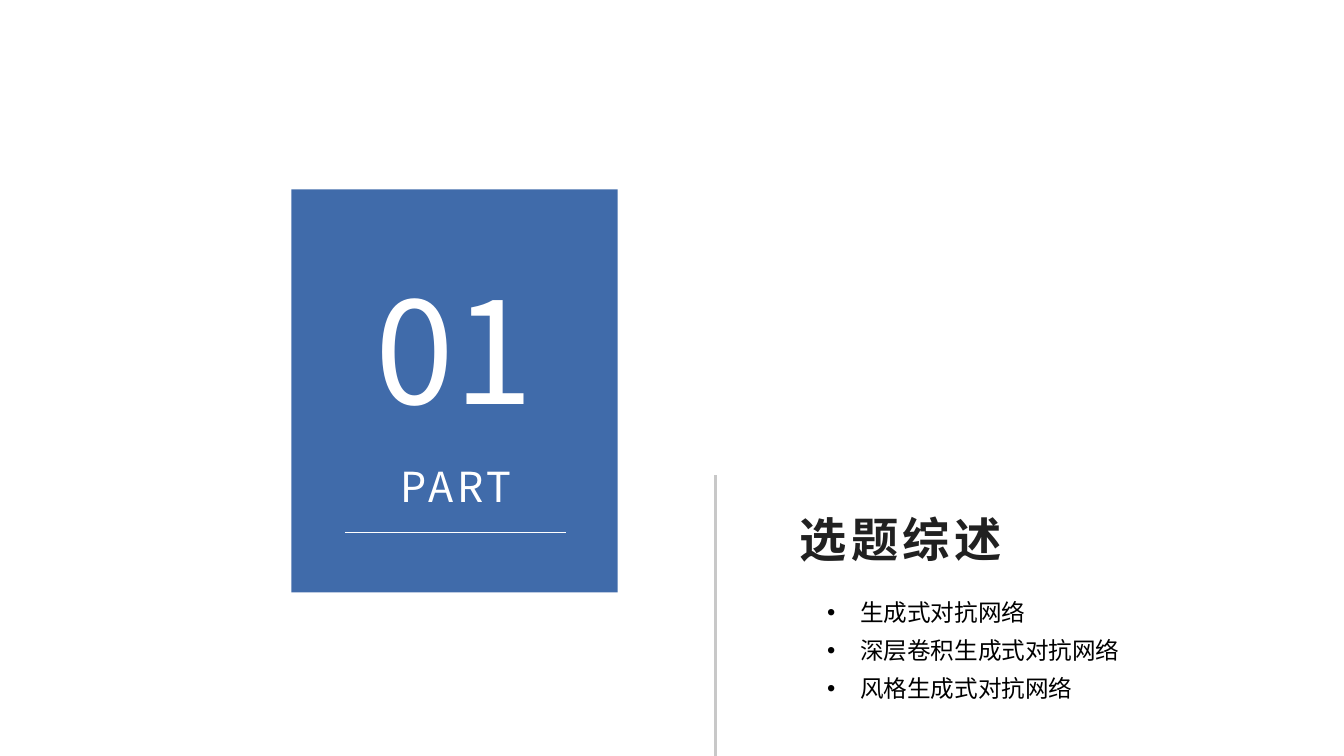
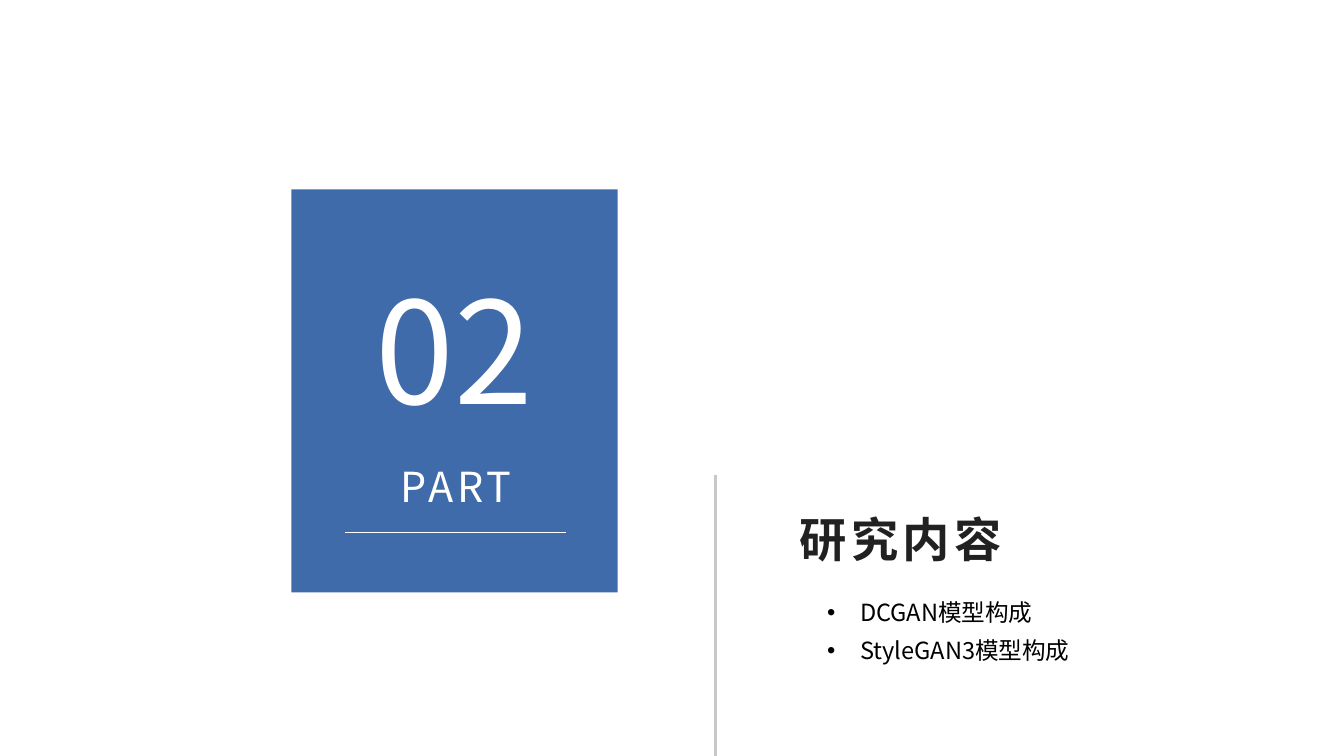
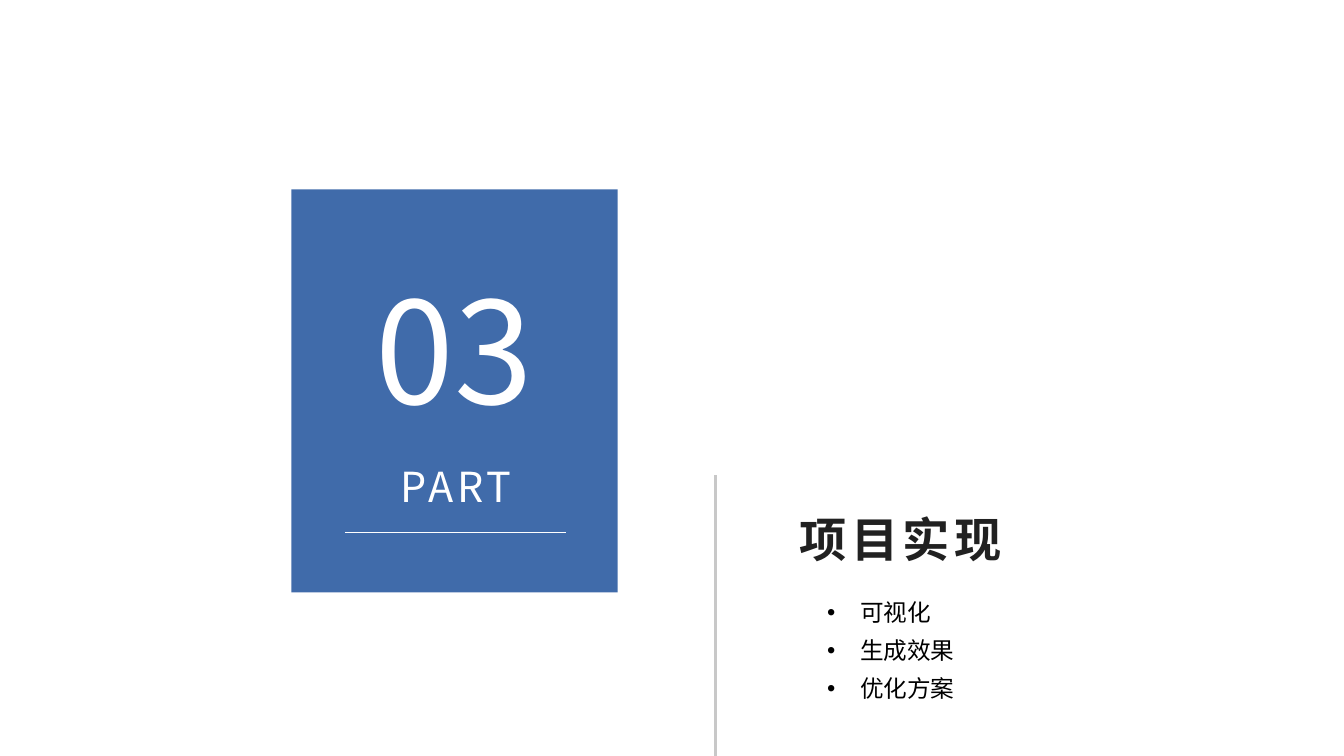
"""Build the three section divider slides of the presentation."""
from lxml.etree import SubElement
from pptx import Presentation
from pptx.dml.color import RGBColor
from pptx.enum.shapes import MSO_CONNECTOR, MSO_SHAPE
from pptx.enum.text import MSO_AUTO_SIZE, PP_ALIGN
from pptx.oxml.ns import qn
from pptx.util import Pt

SECTIONS = [
    ("选题综述", ["生成式对抗网络", "深层卷积生成式对抗网络", "风格生成式对抗网络"]),
    ("研究内容", ["DCGAN模型构成", "StyleGAN3模型构成"]),
    ("项目实现", ["可视化", "生成效果", "优化方案"]),
]

COLORS = {
    "panel": "013A8E",
    "white": "FFFFFF",
    "divider": "C8C8C8",
    "title": "212121",
    "topic": "000000",
}
FONT = "Noto Sans CJK SC"
SLIDE_WIDTH, SLIDE_HEIGHT = 910, 512
PANEL = (197.25, 128.25, 221, 273)
PANEL_OPACITY = 75
LINE_SPACING = 1.13
TOPIC_INDENT = 22.5
TOPIC_GAP = 4


def color(name):
    return RGBColor.from_string(COLORS[name])


def add_panel(slide):
    panel = slide.shapes.add_shape(MSO_SHAPE.RECTANGLE, *map(Pt, PANEL))
    panel.shadow.inherit = False
    panel.line.fill.background()
    panel.fill.solid()
    panel.fill.fore_color.rgb = color("panel")
    fill_color = panel.fill._xPr.find(qn("a:solidFill"))[0]
    SubElement(fill_color, qn("a:alpha"), val=str(PANEL_OPACITY * 1000))


def add_line(slide, start, end, color_name, width):
    line = slide.shapes.add_connector(MSO_CONNECTOR.STRAIGHT, *map(Pt, start + end))
    line.line.color.rgb = color(color_name)
    line.line.width = Pt(width)
    SubElement(line._element.spPr, qn("a:effectLst"))


def add_bullet(paragraph):
    properties = paragraph._p.get_or_add_pPr()
    properties.set("marL", str(Pt(TOPIC_INDENT)))
    properties.set("indent", str(-Pt(TOPIC_INDENT)))
    SubElement(properties, qn("a:buFont"), typeface="Arial")
    SubElement(properties, qn("a:buChar"), char="•")


def add_text(slide, lines, box, size, color_name, align=PP_ALIGN.LEFT,
             bold=False, tracking=0, bullets=False):
    frame = slide.shapes.add_textbox(*map(Pt, box)).text_frame
    frame.word_wrap = True
    frame.auto_size = MSO_AUTO_SIZE.SHAPE_TO_FIT_TEXT
    frame.margin_left = frame.margin_right = Pt(2)
    frame.margin_top = frame.margin_bottom = Pt(1)
    frame.text = "\n".join(lines)
    for index, paragraph in enumerate(frame.paragraphs):
        if bullets:
            add_bullet(paragraph)
        paragraph.alignment = align
        paragraph.line_spacing = LINE_SPACING
        if index:
            paragraph.space_before = Pt(TOPIC_GAP)
        run = paragraph.runs[0]
        run.font.size = Pt(size)
        run.font.bold = bold
        run.font.name = FONT
        run.font.color.rgb = color(color_name)
        properties = run._r.get_or_add_rPr()
        SubElement(properties, qn("a:ea"), typeface=FONT)
        if tracking:
            properties.set("spc", str(int(tracking * 100)))


def add_section(presentation, number, title, topics):
    slide = presentation.slides.add_slide(presentation.slide_layouts[6])
    add_panel(slide)
    add_text(slide, [f"{number:02}"], (207.5, 162, 200, 137), 96, "white", PP_ALIGN.CENTER)
    add_text(slide, ["PART"], (169, 306.75, 279.5, 41), 28, "white", PP_ALIGN.CENTER,
             tracking=2.5)
    add_line(slide, (233.5, 360.75), (383, 360.75), "white", 1)
    add_line(slide, (484.5, 321.75), (484.5, SLIDE_HEIGHT), "divider", 1.5)
    add_text(slide, [title], (539.25, 339.25, 277, 43), 32, "title", bold=True, tracking=3)
    add_text(slide, topics, (558, 401.75, 228, 28), 16, "topic", bullets=True)


def main():
    presentation = Presentation()
    presentation.slide_width = Pt(SLIDE_WIDTH)
    presentation.slide_height = Pt(SLIDE_HEIGHT)
    for number, (title, topics) in enumerate(SECTIONS, start=1):
        add_section(presentation, number, title, topics)
    presentation.save("out.pptx")


if __name__ == "__main__":
    main()
